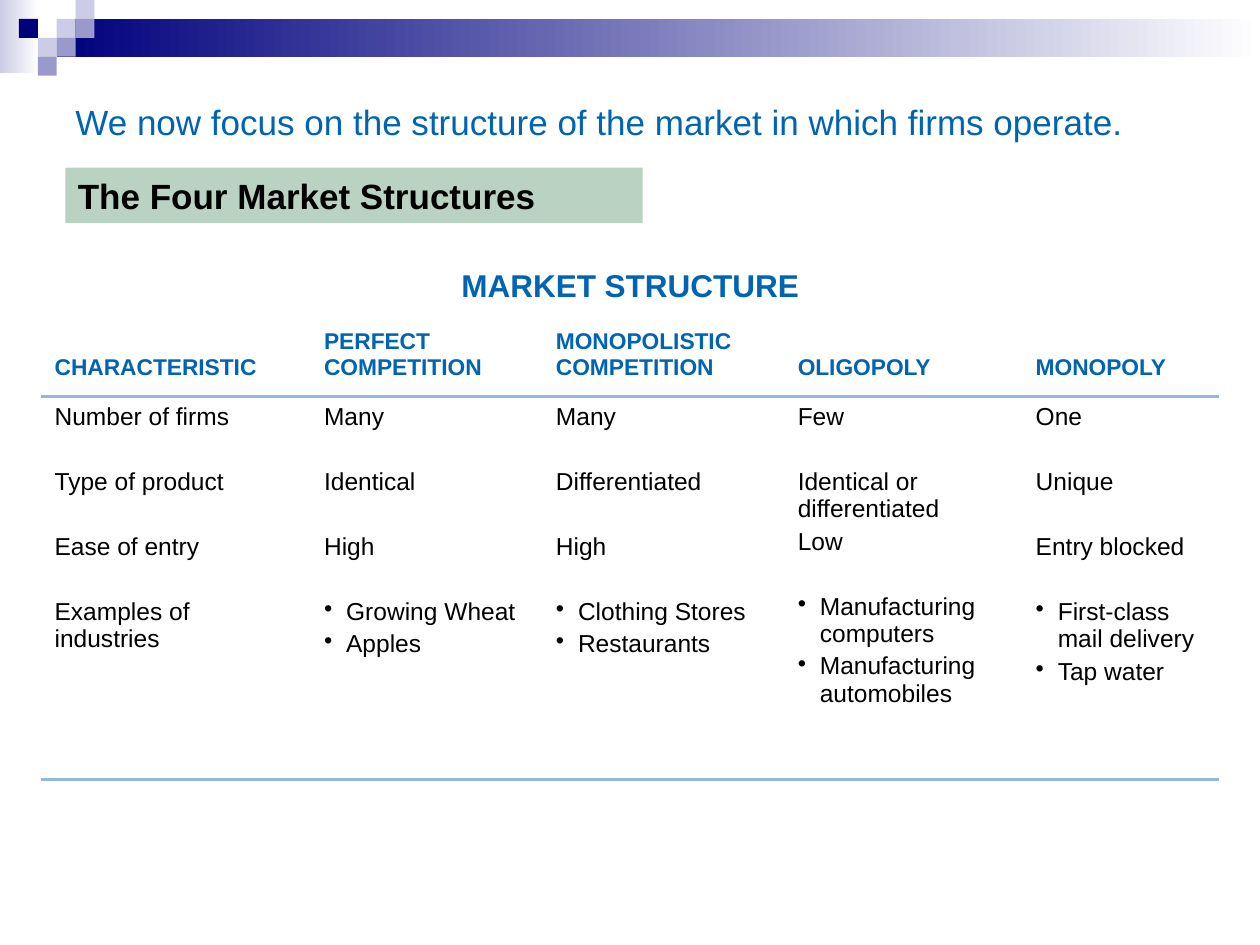
from lxml.etree import SubElement
from pptx import Presentation
from pptx.dml.color import RGBColor
from pptx.enum.shapes import MSO_SHAPE
from pptx.enum.text import MSO_ANCHOR, PP_ALIGN
from pptx.oxml.ns import qn
from pptx.util import Pt

NAVY, LILAC, VIOLET, WHITE = "00007D", "CCCCE6", "9999CC", "FFFFFF"
BLUE, RULE, GREEN, BLACK = "0064B3", "95B6DF", "B9D2C1", "000000"
TITLE = {"size": Pt(20), "bold": False}
BANNER = {"size": Pt(20), "bold": True}
TABLE_TITLE = {"size": Pt(18), "bold": True}
HEADING = {"size": Pt(13), "bold": True}
BODY = {"size": Pt(14), "bold": False}


def write(paragraph, text, color, style):
    run = paragraph.add_run()
    run.text = text
    run.font.name = "Arial"
    run.font.color.rgb = RGBColor.from_string(color)
    for name, value in style.items():
        setattr(run.font, name, value)


def add_block(left, top, width, height, *colors):
    """Add a borderless rectangle; two colours make a left-to-right gradient."""
    shape = slide.shapes.add_shape(
        MSO_SHAPE.RECTANGLE, Pt(left), Pt(top), Pt(width), Pt(height))
    shape.shadow.inherit = False
    shape.line.fill.background()
    if len(colors) == 1:
        shape.fill.solid()
        shape.fill.fore_color.rgb = RGBColor.from_string(colors[0])
    else:
        shape.fill.gradient()
        shape.fill.gradient_angle = 0
        for stop, color in zip(shape.fill.gradient_stops, colors):
            stop.color.rgb = RGBColor.from_string(color)
    return shape


presentation = Presentation()
presentation.slide_width, presentation.slide_height = Pt(720), Pt(540)
slide = presentation.slides.add_slide(presentation.slide_layouts[6])

# Header band and its mosaic of squares
add_block(0, 0, 22.3, 41.8, LILAC, WHITE)
add_block(32.4, 10.8, 687.6, 21.6, NAVY, WHITE)
SQUARE = 10.8
mosaic = [(3, 1, LILAC), (4, 0, LILAC), (4, 1, VIOLET), (2, 2, LILAC),
          (1, 1, NAVY), (3, 2, VIOLET), (2, 3, VIOLET)]
for column, row, color in mosaic:
    add_block(column * SQUARE, row * SQUARE, SQUARE, SQUARE, color)

# Title
title_frame = slide.shapes.add_textbox(Pt(36), Pt(30.2), Pt(643.7), Pt(78.5)).text_frame
title_frame.word_wrap = True
title_frame.vertical_anchor = MSO_ANCHOR.MIDDLE
write(title_frame.paragraphs[0],
      "We now focus on the structure of the market in which firms operate.", BLUE, TITLE)

# Table
column_widths = [154, 132.5, 138.2, 136, 111.6]
row_heights = [32.4, 43.2, 218.9]
headings = ["CHARACTERISTIC", "PERFECT COMPETITION", "MONOPOLISTIC COMPETITION",
            "OLIGOPOLY", "MONOPOLY"]
columns = [
    ["Number of firms", "Type of product", "Ease of entry", "Examples of industries"],
    ["Many", "Identical", "High", "Growing Wheat", "Apples"],
    ["Many", "Differentiated", "High", "Clothing Stores", "Restaurants"],
    ["Few", "Identical or differentiated", "Low",
     "Manufacturing computers", "Manufacturing automobiles"],
    ["One", "Unique", "Entry blocked", "First-class mail delivery", "Tap water"],
]
table = slide.shapes.add_table(
    3, 5, Pt(24), Pt(149.8), Pt(sum(column_widths)), Pt(sum(row_heights))).table
table.first_row = table.horz_banding = False
for column, width in zip(table.columns, column_widths):
    column.width = Pt(width)
for row, height in zip(table.rows, row_heights):
    row.height = Pt(height)

borders = [[], ["a:lnB"], ["a:lnT", "a:lnB"]]
for row, edges in zip(table.rows, borders):
    for cell in row.cells:
        properties = cell._tc.get_or_add_tcPr()
        for edge in edges:
            line = SubElement(properties, qn(edge), w=str(Pt(2.25)))
            fill = SubElement(line, qn("a:solidFill"))
            SubElement(fill, qn("a:srgbClr"), val=RULE)
        cell.fill.background()

table_title = table.cell(0, 0)
table_title.merge(table.cell(0, 4))
paragraph = table_title.text_frame.paragraphs[0]
paragraph.alignment = PP_ALIGN.CENTER
write(paragraph, "MARKET STRUCTURE", BLUE, TABLE_TITLE)

LINE_GAP, GROUP_GAP = 2.8, 21.4
BULLET_INDENT = Pt(12.6)
for index, (heading, entries) in enumerate(zip(headings, columns)):
    cell = table.cell(1, index)
    cell.vertical_anchor = MSO_ANCHOR.BOTTOM
    cell.margin_bottom = Pt(9.5)
    write(cell.text_frame.paragraphs[0], heading, BLUE, HEADING)

    frame = table.cell(2, index).text_frame
    for position, entry in enumerate(entries):
        paragraph = frame.add_paragraph() if position else frame.paragraphs[0]
        # The two-line product type uses up the gap before the next entry
        after_two_lines = entries[position - 1] == "Identical or differentiated"
        if position:
            tight = position == 4 or after_two_lines
            paragraph.space_before = Pt(LINE_GAP if tight else GROUP_GAP)
        if index and position >= 3:
            properties = paragraph._p.get_or_add_pPr()
            properties.set("marL", str(BULLET_INDENT))
            properties.set("indent", str(-BULLET_INDENT))
            SubElement(properties, qn("a:buChar"), char="•")
        write(paragraph, entry, BLACK, BODY)

# Banner
banner_frame = add_block(37.4, 95.8, 329.8, 31.7, GREEN).text_frame
banner_frame.word_wrap = True
banner_frame.vertical_anchor = MSO_ANCHOR.MIDDLE
banner_frame.paragraphs[0].alignment = PP_ALIGN.LEFT
write(banner_frame.paragraphs[0], "The Four Market Structures", BLACK, BANNER)

presentation.save("out.pptx")
